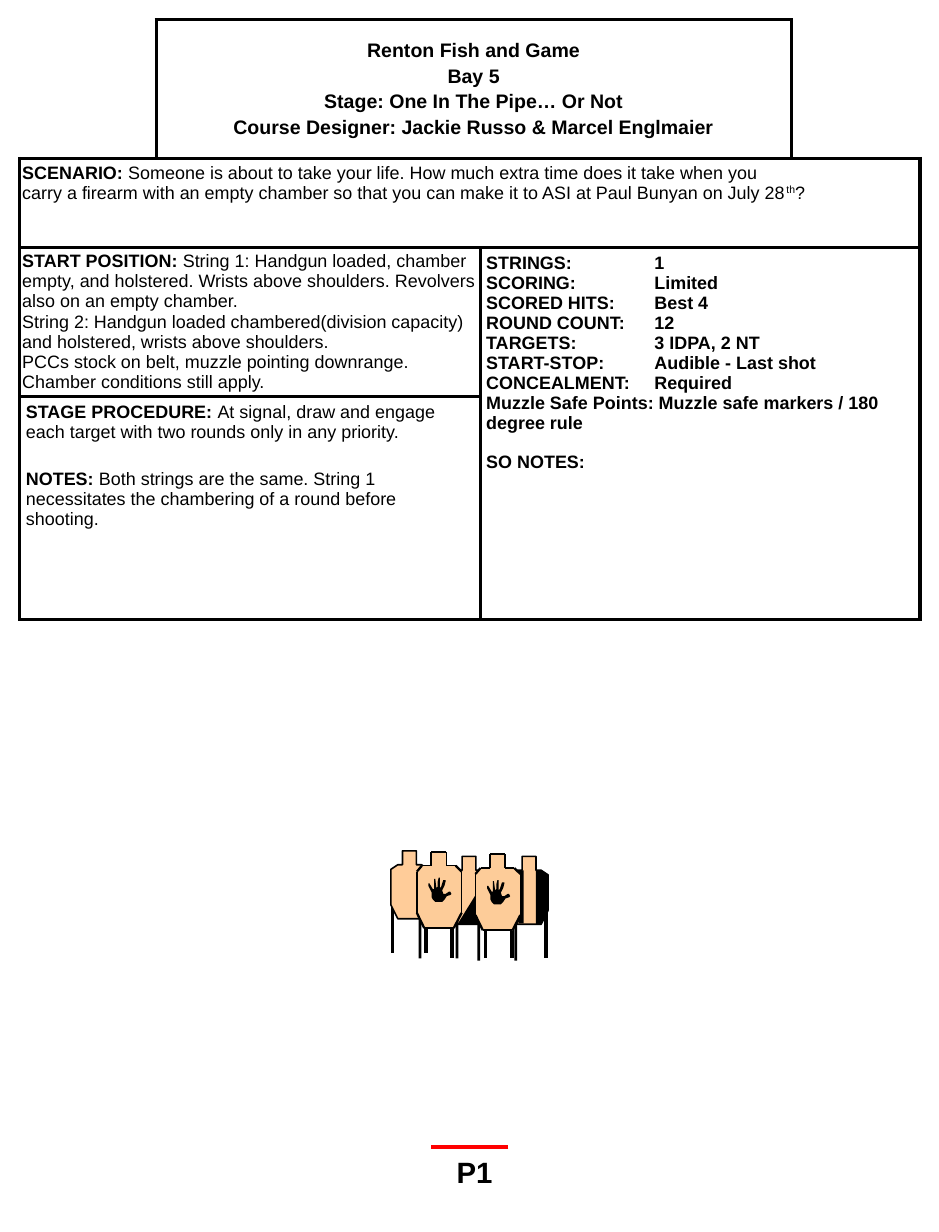
from dataclasses import dataclass
from lxml import etree
from pptx import Presentation
from pptx.dml.color import RGBColor
from pptx.enum.shapes import MSO_CONNECTOR, MSO_SHAPE
from pptx.enum.text import MSO_ANCHOR, PP_ALIGN
from pptx.oxml.ns import qn
from pptx.util import Cm, Pt

STRAIGHT = MSO_CONNECTOR.STRAIGHT
RECTANGLE = MSO_SHAPE.RECTANGLE
MIDDLE, TOP = MSO_ANCHOR.MIDDLE, MSO_ANCHOR.TOP
CENTER, LEFT = PP_ALIGN.CENTER, PP_ALIGN.LEFT


@dataclass(frozen=True)
class Theme:
    font: str = "Arial"
    black: str = "000000"
    white: str = "FFFFFF"
    red: str = "FF0000"
    cardboard: str = "FFCC99"
    front_cardboard: str = "FDCC99"
    body: float = 11
    heading: float = 12
    page: float = 18
    border: float = 2.25
    outline: float = 1
    slant: float = 1.38


THEME = Theme()

COLUMNS = (2.95, 7.01, 6.73, 2.79)
ROWS = (3, 1.93, 3.18, 4.83)
TAB_STOP = 3.64

HEADING = [[(line, True)] for line in (
    "Renton Fish and Game",
    "Bay 5",
    "Stage: One In The Pipe… Or Not",
    "Course Designer: Jackie Russo & Marcel Englmaier",
)]
SCENARIO = [
    [("SCENARIO: ", True),
     ("Someone is about to take your life. How much extra time does it take when you", False)],
    [("carry a firearm with an empty chamber so that you can make it to ASI at Paul Bunyan on July 28", False),
     ("th", False, 30000), ("?", False)],
]
START_POSITION = [
    [("START POSITION: ", True),
     ("String 1: Handgun loaded, chamber empty, and holstered. Wrists above shoulders. "
      "Revolvers also on an empty chamber.", False)],
    [("String 2: Handgun loaded chambered(division capacity) and holstered, wrists above shoulders.", False)],
    [("PCCs stock on belt, muzzle pointing downrange. Chamber conditions still apply.", False)],
]
PROCEDURE = [
    [("STAGE PROCEDURE: ", True),
     ("At signal, draw and engage each target with two rounds only in any priority.", False)],
    [("NOTES: ", True),
     ("Both strings are the same. String 1 necessitates the chambering of a round before shooting.", False)],
]
RULES = [[(line, True)] for line in (
    "STRINGS:\t1",
    "SCORING:\tLimited",
    "SCORED HITS:\tBest 4",
    "ROUND COUNT:\t12",
    "TARGETS:\t3 IDPA, 2 NT",
    "START-STOP:\tAudible - Last shot",
    "CONCEALMENT:\tRequired",
    "Muzzle Safe Points: Muzzle safe markers / 180 degree rule",
    "SO NOTES:",
)]

BACK_TARGET = [(.25, 0), (.55, 0), (.55, .3), (.66, .3), (.81, .4), (.81, 1.17),
               (.66, 1.47), (.15, 1.47), (0, 1.17), (0, .4), (.15, .3), (.25, .3)]
RIGHT_SIDE = [(.55, .3), (.55, 1.47), (.66, 1.47), (.81, 1.17), (.81, .4), (.66, .3)]
LEFT_SIDE = [(.28, .3), (.28, 1.45), (.18, 1.45), (.03, 1.17), (.03, .4), (.18, .3)]
CORNER = [(.81, .4), (.81, 1.17), (.66, 1.47), (.15, 1.47)]
FRONT_TARGET = [(.31, 0), (.31, .3), (.11, .3), (0, .43), (0, 1.32), (.16, 1.65),
                (.8, 1.65), (.97, 1.32), (.97, .43), (.84, .3), (.64, .3), (.64, 0)]
HAND_STEP = 0.025
HAND = [(14, 19), (12, 21), (6, 21), (4, 19), (3, 17), (3, 13), (1, 9), (0, 7), (0, 5),
        (1, 5), (4, 10), (5, 10), (5, 1), (6, 1), (7, 9), (8, 8), (8, 4), (9, 0), (10, 0),
        (10, 9), (11, 8), (13, 2), (15, 2), (15, 3), (14, 7), (12, 11), (13, 14), (15, 14),
        (18, 12), (19, 12), (20, 14), (19, 15), (16, 16)]


def rgb(color):
    return RGBColor.from_string(color)


def write(tf, lines, size, align=LEFT, gap=0, last_gap=None, tabs=False):
    for i, line in enumerate(lines):
        p = tf.paragraphs[0] if i == 0 else tf.add_paragraph()
        p.alignment = align
        if i:
            is_last = i == len(lines) - 1
            p.space_before = Pt(last_gap if is_last and last_gap else gap)
        if tabs:
            tab_list = etree.SubElement(p._p.get_or_add_pPr(), qn("a:tabLst"))
            etree.SubElement(tab_list, qn("a:tab"), pos=str(Cm(TAB_STOP)), algn="l")
        p.font.name, p.font.size = THEME.font, Pt(size)
        p.font.color.rgb = rgb(THEME.black)
        for text, bold, *baseline in line:
            r = p.add_run()
            r.text, r.font.bold = text, bold
            if baseline:
                r._r.get_or_add_rPr().set("baseline", str(baseline[0]))


def style_cell(cell, open_sides):
    cell.fill.solid()
    cell.fill.fore_color.rgb = rgb(THEME.white)
    tc_pr = cell._tc.get_or_add_tcPr()
    for i, side in enumerate("LRTB"):
        ln = etree.Element(qn(f"a:ln{side}"), w=str(Pt(THEME.border)))
        if side in open_sides:
            etree.SubElement(ln, qn("a:noFill"))
        else:
            fill = etree.SubElement(ln, qn("a:solidFill"))
            etree.SubElement(fill, qn("a:srgbClr"), val=THEME.black)
        tc_pr.insert(i, ln)


def fill_cell(table, start, end, lines, inset=(.13, .13), size=THEME.body, anchor=TOP, **spacing):
    cell = table.cell(*start)
    cell.merge(table.cell(*end))
    cell.margin_left = cell.margin_right = Cm(inset[0])
    cell.margin_top = cell.margin_bottom = Cm(inset[1])
    cell.vertical_anchor = anchor
    write(cell.text_frame, lines, size, **spacing)


def add_briefing(s):
    frame = s.shapes.add_table(len(ROWS), len(COLUMNS), Cm(.43), Cm(.43),
                               Cm(sum(COLUMNS)), Cm(sum(ROWS)))
    table = frame.table
    table.first_row = table.horz_banding = False
    for column, width in zip(table.columns, COLUMNS):
        column.width = Cm(width)
    for row, height in zip(table.rows, ROWS):
        row.height = Cm(height)
    open_sides = {(0, 0): "LT", (0, 3): "RT"}
    for i in range(len(ROWS)):
        for j in range(len(COLUMNS)):
            style_cell(table.cell(i, j), open_sides.get((i, j), ""))
    fill_cell(table, (0, 1), (0, 2), HEADING, size=THEME.heading, anchor=MIDDLE,
              align=CENTER, gap=2.4)
    fill_cell(table, (1, 0), (1, 3), SCENARIO, (.05, .1))
    fill_cell(table, (2, 0), (2, 1), START_POSITION, (.05, .08), gap=.5)
    fill_cell(table, (2, 2), (3, 3), RULES, last_gap=12, tabs=True)
    fill_cell(table, (3, 0), (3, 1), PROCEDURE, gap=16.5)


def add_line(shapes, x1, y1, x2, y2, color, width):
    line = shapes.add_connector(STRAIGHT, Cm(x1), Cm(y1), Cm(x2), Cm(y2))
    line.line.color.rgb = rgb(color)
    line.line.width = Pt(width)
    etree.SubElement(line._element.spPr, qn("a:effectLst"))


def paint(sp, fill, outline=None):
    sp.shadow.inherit = False
    sp.fill.solid()
    sp.fill.fore_color.rgb = rgb(fill)
    if outline:
        sp.line.color.rgb = rgb(THEME.black)
        sp.line.width = Pt(outline)
    else:
        sp.line.fill.background()


def add_outline(shapes, x, y, points, fill, outline=None):
    points = [(Cm(x + dx), Cm(y + dy)) for dx, dy in points]
    builder = shapes.build_freeform(*points[0])
    builder.add_line_segments(points[1:], close=True)
    paint(builder.convert_to_shape(), fill, outline)


def add_back_target(shapes, x, y, shades=()):
    for leg in (.03, .76):
        add_line(shapes, x + leg, y + 1.09, x + leg, y + 2.2, THEME.black, THEME.border)
    add_outline(shapes, x, y, BACK_TARGET, THEME.cardboard, THEME.outline)
    for shade in shades:
        add_outline(shapes, x, y, shade, THEME.black)


def add_front_target(shapes, x, y):
    for leg in (.84, .04):
        paint(shapes.add_shape(RECTANGLE, Cm(x + leg), Cm(y + 1.22), Cm(.06), Cm(1.09)),
              THEME.black)
    add_outline(shapes, x, y, FRONT_TARGET, THEME.front_cardboard)
    for (x1, y1), (x2, y2) in zip(FRONT_TARGET, FRONT_TARGET[1:] + FRONT_TARGET[:1]):
        width = THEME.slant if x1 != x2 and y1 != y2 else THEME.outline
        add_line(shapes, x + x1, y + y1, x + x2, y + y2, THEME.black, width)
    hand = [(px * HAND_STEP, py * HAND_STEP) for px, py in HAND]
    add_outline(shapes, x + .25, y + .56, hand, THEME.black)


def add_page_label(s):
    tf = s.shapes.add_textbox(Cm(9.63), Cm(24.87), Cm(1.47), Cm(1.02)).text_frame
    tf.word_wrap = True
    write(tf, [[("P1", True)]], THEME.page)


def main():
    prs = Presentation()
    prs.slide_width, prs.slide_height = Cm(20.32), Cm(26.67)
    s = prs.slides.add_slide(prs.slide_layouts[6])
    add_briefing(s)
    add_page_label(s)
    add_line(s.shapes, 11, 24.83, 9.32, 24.83, THEME.red, 2)
    shapes = s.shapes.add_group_shape().shapes
    add_back_target(shapes, 8.46, 18.42)
    add_back_target(shapes, 11.05, 18.54, (RIGHT_SIDE, LEFT_SIDE))
    add_back_target(shapes, 9.75, 18.54, (CORNER,))
    add_front_target(shapes, 9.02, 18.44)
    add_front_target(shapes, 10.29, 18.49)
    prs.save("out.pptx")


if __name__ == "__main__":
    main()
